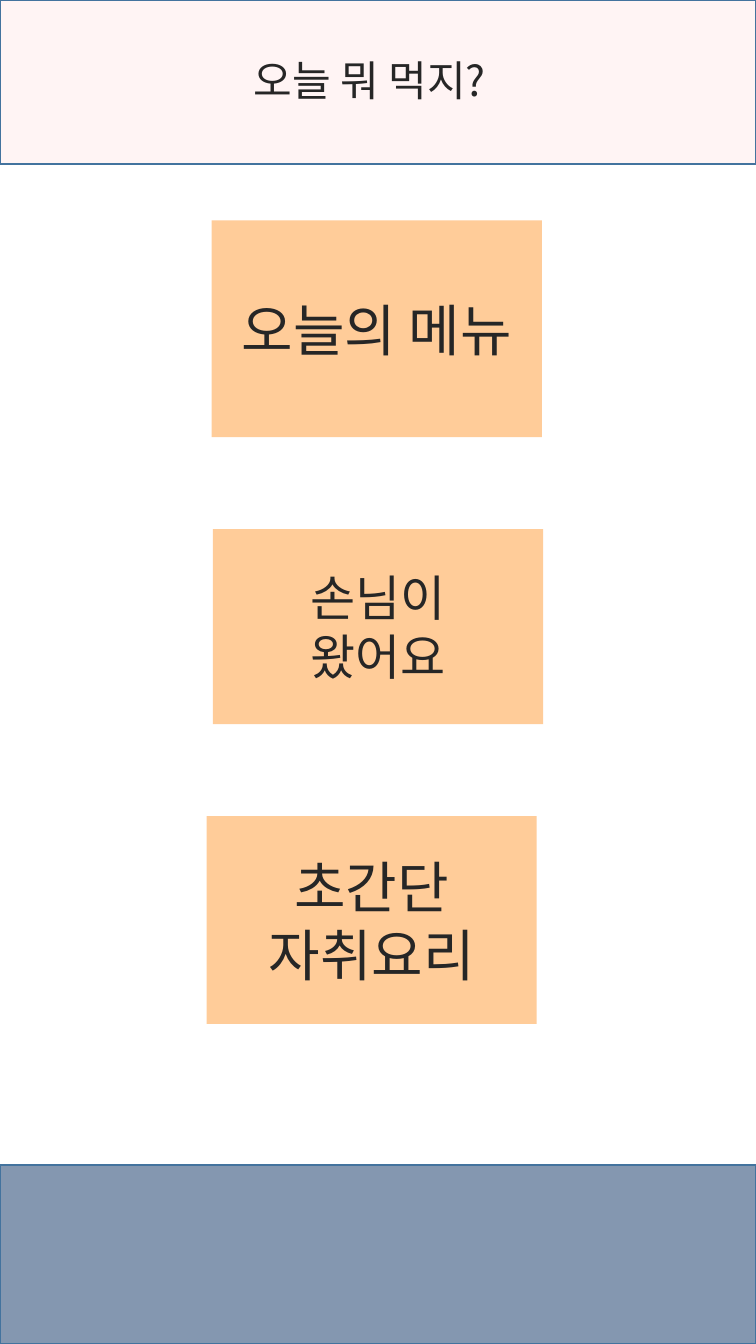
from dataclasses import dataclass

from lxml import etree
from pptx import Presentation
from pptx.dml.color import RGBColor
from pptx.enum import shapes, text
from pptx.oxml import ns
from pptx.util import Pt


@dataclass(frozen=True)
class Theme:
    font: str = "Noto Sans CJK KR"
    ink: str = "262626"
    header: str = "FFCCCC"
    footer: str = "8497B0"
    border: str = "43739E"
    card: str = "FFCC99"
    title_size: int = 24
    large: int = 32
    medium: int = 28


theme = Theme()
WIDTH, HEIGHT = 432, 768.24
HEADER_HEIGHT, FOOTER_HEIGHT = 93.6, 102.24
CARD_WIDTH = 188.64
TITLE = "오늘 뭐 먹지?"
TITLE_AREA = (120.96, 15.84, 180.72, 59.04)
CARDS = [
    (["오늘의 메뉴"], 120.96, 126, 123.84, theme.large),
    (["손님이", "왔어요"], 121.68, 302.4, 111.6, theme.medium),
    (["초간단", "자취요리"], 118.08, 466.56, 118.8, theme.large),
]


def add_box(area, fill, border=None):
    box = page.shapes.add_shape(shapes.MSO_SHAPE.RECTANGLE, *map(Pt, area))
    box.shadow.inherit = False
    box.fill.solid()
    box.fill.fore_color.rgb = RGBColor.from_string(fill)
    if border:
        box.line.color.rgb = RGBColor.from_string(border)
        box.line.width = Pt(1)
    else:
        box.line.fill.background()
    return box


def write(box, lines, size):
    frame = box.text_frame
    frame.text = "\n".join(lines)
    frame.word_wrap = True
    frame.auto_size = text.MSO_AUTO_SIZE.NONE
    frame.vertical_anchor = text.MSO_ANCHOR.MIDDLE
    for para in frame.paragraphs:
        para.alignment = text.PP_ALIGN.CENTER
        para.font.size = Pt(size)
        para.font.name = theme.font
        para.font.color.rgb = RGBColor.from_string(theme.ink)
        for span in para.runs:
            properties = span._r.get_or_add_rPr()
            etree.SubElement(properties, ns.qn("a:ea"), typeface=theme.font)


deck = Presentation()
deck.slide_width, deck.slide_height = Pt(WIDTH), Pt(HEIGHT)
page = deck.slides.add_slide(deck.slide_layouts[5])

header = add_box((0, 0, WIDTH, HEADER_HEIGHT), theme.header, theme.border)
header_color = header.element.spPr.find(ns.qn("a:solidFill"))[0]
etree.SubElement(header_color, ns.qn("a:alpha"), val="20000")

title = page.shapes.title
title.left, title.top, title.width, title.height = map(Pt, TITLE_AREA)
write(title, [TITLE], theme.title_size)
header.element.addnext(title.element)

for lines, left, top, height, size in CARDS:
    write(add_box((left, top, CARD_WIDTH, height), theme.card), lines, size)

add_box((0, HEIGHT - FOOTER_HEIGHT, WIDTH, FOOTER_HEIGHT), theme.footer, theme.border)

deck.save("out.pptx")
